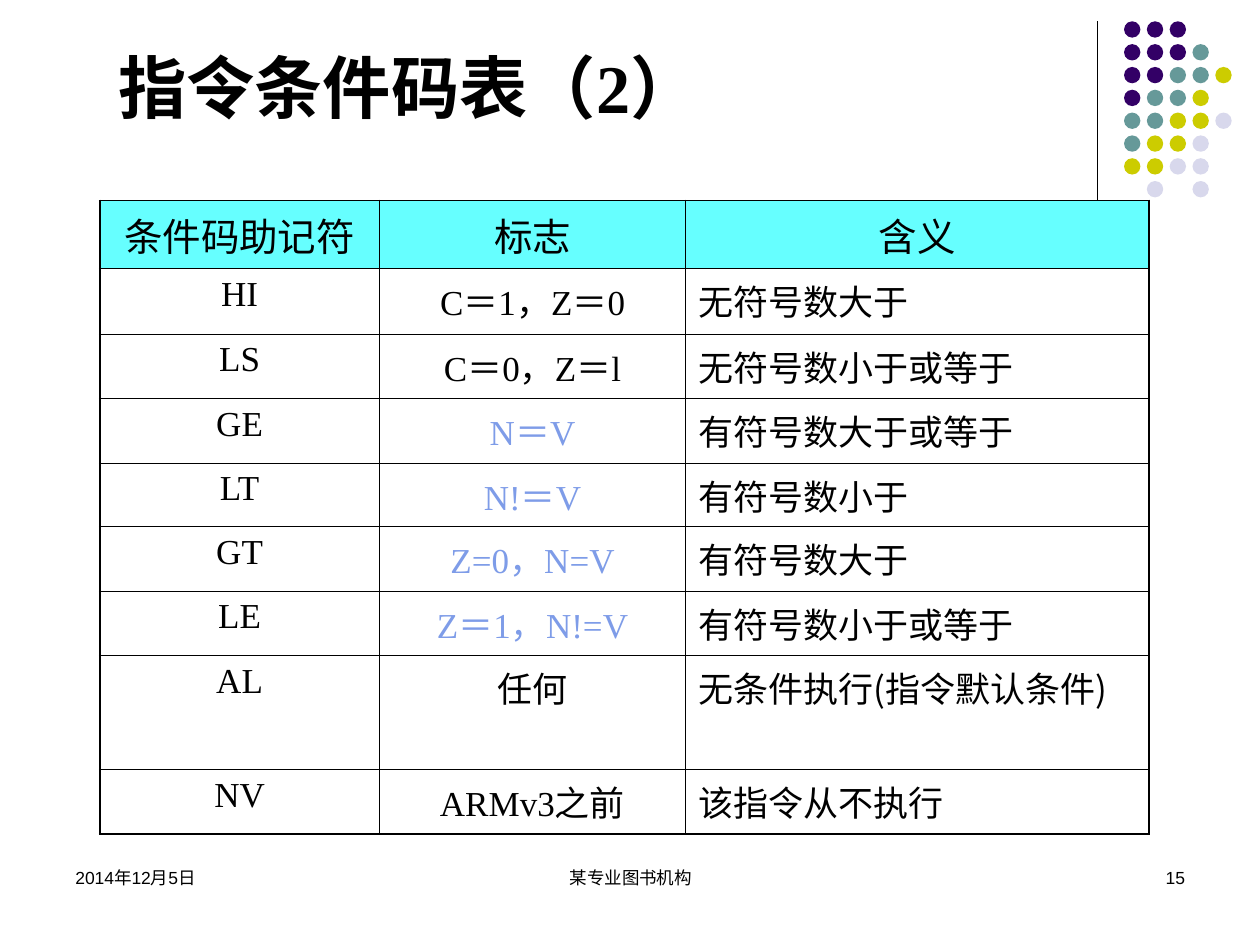
from lxml import etree
from pptx import Presentation
from pptx.dml.color import RGBColor
from pptx.enum import shapes, text
from pptx.oxml import ns
from pptx.util import Cm, Pt

# Content
TITLE = "指令条件码表（2）"
HEAD = ("条件码助记符", "标志", "含义")
CODES = [
    ("HI", "C＝1，Z＝0", "无符号数大于"),
    ("LS", "C＝0，Z＝l", "无符号数小于或等于"),
    ("GE", "N＝V", "有符号数大于或等于"),
    ("LT", "N!＝V", "有符号数小于"),
    ("GT", "Z=0，N=V", "有符号数大于"),
    ("LE", "Z＝1，N!=V", "有符号数小于或等于"),
    ("AL", "任何", "无条件执行(指令默认条件)"),
    ("NV", "ARMv3之前", "该指令从不执行"),
]
SIGNED = ("GE", "LT", "GT", "LE")
LEFT, MID, RIGHT, JUST = (text.PP_ALIGN.LEFT, text.PP_ALIGN.CENTER,
                          text.PP_ALIGN.RIGHT, text.PP_ALIGN.JUSTIFY)
FOOT = [  # words, left, width, alignment
    ("某专业图书机构", 8.69, 8.05, MID),
    ("15", 18.21, 5.93, RIGHT),
    ("2014年12月5日", 1.27, 5.93, LEFT),
]
DOTS = ("ppp", "pppt", "pptty", "ptty", "ttyyl", "tyyl", "yyll", " l l")
TINTS = {"p": "330066", "t": "669999", "y": "CCCC00", "l": "D8D8EC"}
WIDTHS = (5.64, 6.17, 9.34)
HEIGHTS = (1.3, 1.32, 1.3, 1.3, 1.15, 1.3, 1.3, 1.3, 1.3)
SERIF, SANS, HAN = "Times New Roman", "Arial", "Noto Sans CJK SC"
BLACK, BLUE, CYAN = "000000", "7E9CE8", "66FFFF"
THICK, THIN = 1.08, 0.45


def paint(fill, tint):
    fill.solid()
    fill.fore_color.rgb = RGBColor.from_string(tint)


def write(frame, words, size, face, align, tint=BLACK, bold=False):
    para = frame.paragraphs[0]
    para.text = words
    para.alignment = align
    font = para.font
    font.size, font.name, font.bold = Pt(size), face, bold
    font.color.rgb = RGBColor.from_string(tint)
    base = para._p.pPr.find(ns.qn("a:defRPr"))
    etree.SubElement(base, ns.qn("a:ea"), typeface=HAN)
    return para


def border(cell, side, width):
    props = cell._tc.get_or_add_tcPr()
    line = etree.SubElement(props, ns.qn("a:ln" + side), w=str(Pt(width)))
    fill = etree.SubElement(line, ns.qn("a:solidFill"))
    etree.SubElement(fill, ns.qn("a:srgbClr"), val=BLACK)


deck = Presentation()
deck.slide_width, deck.slide_height = Cm(25.4), Cm(19.05)
slide = deck.slides.add_slide(deck.slide_layouts[5])
items = slide.shapes

# Corner rule and dots
rule = items.add_connector(shapes.MSO_CONNECTOR.STRAIGHT,
                           Cm(22.12), Cm(0.43), Cm(22.12), Cm(4.65))
rule.line.width = Pt(0.75)
rule.line.color.rgb = RGBColor.from_string(BLACK)
etree.SubElement(rule._element.spPr, ns.qn("a:effectLst"))
group = items.add_group_shape()
for row, keys in enumerate(DOTS):
    for col, key in enumerate(keys):
        if key == " ":
            continue
        dot = group.shapes.add_shape(
            shapes.MSO_SHAPE.OVAL, Cm(22.66 + 0.46 * col),
            Cm(0.43 + 0.46 * row), Cm(0.33), Cm(0.33))
        dot.shadow.inherit = False
        paint(dot.fill, TINTS[key])
        dot.line.fill.background()

# Title
title = items.title
title.left, title.top, title.width, title.height = (
    Cm(2.13), Cm(0.58), Cm(20.1), Cm(2.11))
frame = title.text_frame
frame.auto_size = text.MSO_AUTO_SIZE.NONE
frame.vertical_anchor = text.MSO_ANCHOR.BOTTOM
write(frame, TITLE, 39, SERIF, LEFT, bold=True)

# Table of condition codes
rows = [HEAD] + CODES
last, end = len(rows) - 1, len(HEAD) - 1
table = items.add_table(len(rows), len(HEAD), Cm(2.01), Cm(4.04),
                        Cm(sum(WIDTHS)), Cm(sum(HEIGHTS))).table
table.first_row = table.horz_banding = False
for col, width in zip(table.columns, WIDTHS):
    col.width = Cm(width)
for row, height in zip(table.rows, HEIGHTS):
    row.height = Cm(height)
for r, row in enumerate(rows):
    for c, words in enumerate(row):
        cell = table.cell(r, c)
        top = r == 0
        tint = BLUE if c == 1 and row[0] in SIGNED else BLACK
        body = c == end and not top
        para = write(cell.text_frame, words, 22 if top else 20,
                     HAN if body else SERIF, JUST if body else MID, tint)
        para.space_before = Pt(5.5 if top else 5)
        for side, outer in (("L", c == 0), ("R", c == end),
                            ("T", top), ("B", r == last)):
            border(cell, side, THICK if outer else THIN)
        if top:
            paint(cell.fill, CYAN)
        else:
            cell.fill.background()

# Footer
for words, left, width, align in FOOT:
    box = items.add_textbox(Cm(left), Cm(17.35), Cm(width), Cm(1.27))
    box.text_frame.word_wrap = True
    write(box.text_frame, words, 10, SANS, align)

deck.save("out.pptx")
